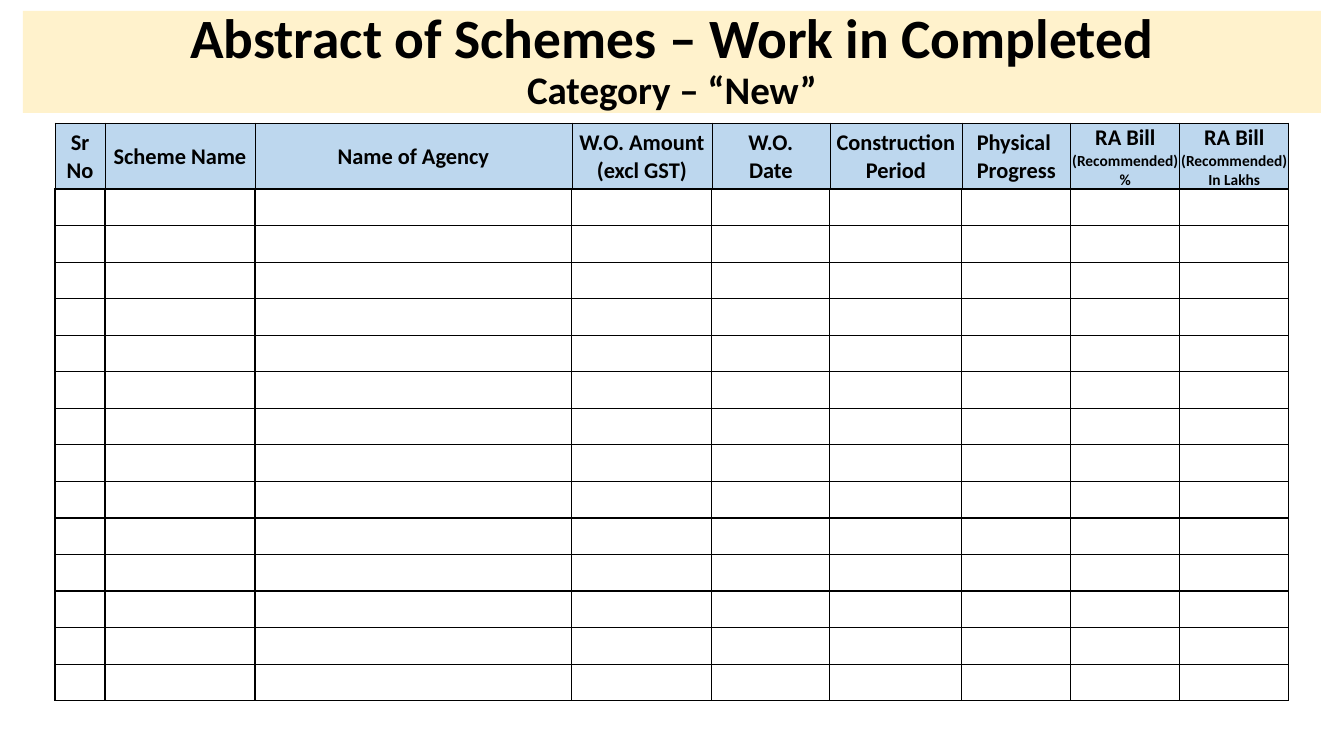
"""Build the slide listing schemes by agency, amount and progress."""
from lxml import etree
from pptx import Presentation
from pptx import util as u
from pptx.dml.color import RGBColor
from pptx.enum import shapes, text
from pptx.oxml.ns import qn

PX = 914400 / 100.8
FONT = "Calibri"
BLACK = RGBColor(0x00, 0x00, 0x00)
CREAM = RGBColor(0xFF, 0xF2, 0xCC)
BLUE = RGBColor(0xBD, 0xD7, 0xEE)

TABLE_LEFT = 55
HEADER_TOP, HEADER_HEIGHT = 123, 66
BODY_HEIGHT, BODY_ROWS = 512, 14
COLUMN_WIDTHS = [50, 150, 317, 140, 118, 132, 109, 109, 109]
HEADERS = [
    [("Sr No", 16)],
    [("Scheme Name", 16)],
    [("Name of Agency", 16)],
    [("W.O. Amount\n(excl GST)", 16)],
    [("W.O.\nDate", 16)],
    [("Construction\nPeriod", 16)],
    [("Physical ", 16), ("Progress", 16)],
    [("RA Bill", 16), ("(Recommended)", 11), ("%", 11)],
    [("RA Bill", 16), ("(Recommended)", 11), ("In Lakhs", 11)],
]


def emu(px):
    return u.Emu(round(px * PX))


def add_run(para, words, size):
    span = para.add_run()
    span.text = words
    span.font.name = FONT
    span.font.size = u.Pt(size)
    span.font.bold = True
    span.font.color.rgb = BLACK


def write_lines(para, words, size):
    para.alignment = text.PP_ALIGN.CENTER
    for index, line in enumerate(words.split("\n")):
        if index:
            para.add_line_break()
        add_run(para, line, size)


def set_borders(cell, side_width, bottom_width):
    properties = cell._tc.get_or_add_tcPr()
    widths = {"lnL": side_width, "lnR": side_width, "lnT": side_width, "lnB": bottom_width}
    for index, (side, width) in enumerate(widths.items()):
        line = etree.Element(qn(f"a:{side}"), w=str(u.Pt(width)))
        fill = etree.SubElement(line, qn("a:solidFill"))
        etree.SubElement(fill, qn("a:srgbClr"), val=str(BLACK))
        properties.insert(index, line)


def add_title(page):
    box = page.shapes.add_shape(
        shapes.MSO_SHAPE.RECTANGLE, emu(23), emu(11), emu(1298), emu(102))
    box.shadow.inherit = False
    box.fill.solid()
    box.fill.fore_color.rgb = CREAM
    box.line.fill.background()
    frame = box.text_frame
    frame.word_wrap = True
    frame.vertical_anchor = text.MSO_ANCHOR.MIDDLE
    frame.margin_top = frame.margin_bottom = 0
    para = frame.paragraphs[0]
    para.line_spacing = 0.9
    write_lines(para, "Abstract of Schemes – Work in Completed", 39.6)
    para.add_line_break()
    write_lines(para, "Category – “New”", 27.9)


def add_grid(page, top, height, rows, side_width):
    table = page.shapes.add_table(
        rows, len(COLUMN_WIDTHS), emu(TABLE_LEFT), emu(top),
        emu(sum(COLUMN_WIDTHS)), emu(height)).table
    table.first_row = table.horz_banding = False
    for column, width in zip(table.columns, COLUMN_WIDTHS):
        column.width = emu(width)
    for cell in table.iter_cells():
        cell.margin_left = cell.margin_right = cell.margin_top = emu(1)
        cell.margin_bottom = 0
        cell.vertical_anchor = text.MSO_ANCHOR.MIDDLE
        cell.fill.background()
        set_borders(cell, side_width, 1)
    return table


def fill_header(table):
    for cell, lines in zip(table.iter_cells(), HEADERS):
        cell.fill.solid()
        cell.fill.fore_color.rgb = BLUE
        frame = cell.text_frame
        for index, (words, size) in enumerate(lines):
            para = frame.add_paragraph() if index else frame.paragraphs[0]
            write_lines(para, words, size)


def main():
    deck = Presentation()
    deck.slide_width, deck.slide_height = emu(1344), emu(756)
    page = deck.slides.add_slide(deck.slide_layouts[6])
    add_title(page)
    fill_header(add_grid(page, HEADER_TOP, HEADER_HEIGHT, 1, 0.5))
    add_grid(page, HEADER_TOP + HEADER_HEIGHT, BODY_HEIGHT, BODY_ROWS, 1)
    deck.save("out.pptx")


if __name__ == "__main__":
    main()
